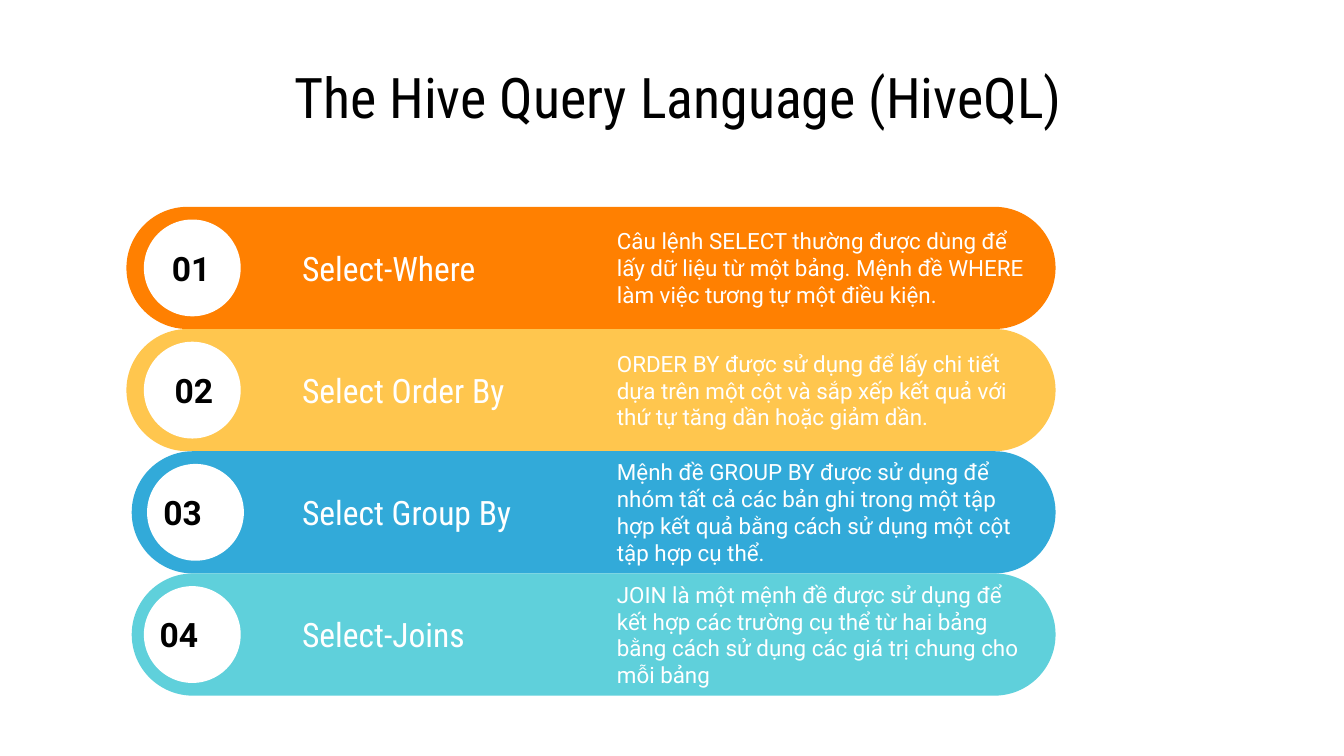
from dataclasses import dataclass

from pptx import Presentation
from pptx.dml.color import RGBColor
from pptx.enum.shapes import MSO_SHAPE
from pptx.enum.text import MSO_ANCHOR, PP_ALIGN
from pptx.util import Cm, Pt

PILL, CIRCLE = MSO_SHAPE.ROUNDED_RECTANGLE, MSO_SHAPE.OVAL
MIDDLE = MSO_ANCHOR.MIDDLE
LEFT, CENTER = PP_ALIGN.LEFT, PP_ALIGN.CENTER


@dataclass(frozen=True)
class Theme:
    black: str = "000000"
    white: str = "FFFFFF"
    heading_font: str = "Roboto Condensed"
    body_font: str = "Roboto"
    title_size: int = 30
    label_size: int = 18
    body_size: int = 12


class SlideBuilder:
    def __init__(self, slide, theme):
        self.slide = slide
        self.theme = theme

    def _filled(self, kind, left, top, width, height, color):
        shape = self.slide.shapes.add_shape(
            kind, Cm(left), Cm(top), Cm(width), Cm(height))
        shape.shadow.inherit = False
        shape.fill.solid()
        shape.fill.fore_color.rgb = RGBColor.from_string(color)
        shape.line.fill.background()
        return shape

    def pill(self, left, top, width, height, color):
        self._filled(PILL, left, top, width, height, color).adjustments[0] = 0.5

    def circle(self, left, middle, diameter):
        self._filled(CIRCLE, left, middle - diameter / 2,
                     diameter, diameter, self.theme.white)

    def text(self, words, left, middle, width, height, font, size, color,
             bold=False, align=LEFT, side_inset=0.25):
        """Place a text box centred vertically on the given middle line."""
        box = self.slide.shapes.add_textbox(
            Cm(left), Cm(middle - height / 2), Cm(width), Cm(height))
        frame = box.text_frame
        frame.word_wrap = True
        frame.vertical_anchor = MIDDLE
        frame.margin_left = frame.margin_right = Cm(side_inset)
        frame.margin_top = frame.margin_bottom = Cm(0.25)
        paragraph = frame.paragraphs[0]
        paragraph.alignment = align
        run = paragraph.add_run()
        run.text = words
        run.font.name = font
        run.font.size = Pt(size)
        run.font.bold = bold
        run.font.color.rgb = RGBColor.from_string(color)


# Bar colour, bar left, circle left, number left, label, description
CLAUSES = [
    ("FF8001", 2.39, 2.72, 3.0, "Select-Where",
     "Câu lệnh SELECT thường được dùng để lấy dữ liệu từ một bảng. "
     "Mệnh đề WHERE làm việc tương tự một điều kiện."),
    ("FFC64E", 2.39, 2.72, 3.05, "Select Order By",
     "ORDER BY được sử dụng để lấy chi tiết dựa trên một cột và sắp xếp "
     "kết quả với thứ tự tăng dần hoặc giảm dần."),
    ("32AAD9", 2.49, 2.78, 2.84, "Select Group By",
     "Mệnh đề GROUP BY được sử dụng để nhóm tất cả các bản ghi trong một "
     "tập hợp kết quả bằng cách sử dụng một cột tập hợp cụ thể."),
    ("5FD0DB", 2.49, 2.72, 2.77, "Select-Joins",
     "JOIN là một mệnh đề được sử dụng để kết hợp các trường cụ thể từ hai "
     "bảng bằng cách sử dụng các giá trị chung cho mỗi bảng"),
]
FIRST_TOP, BAR_HEIGHT, BAR_PITCH, BAR_RIGHT = 3.91, 2.31, 2.31, 19.95


def main():
    prs = Presentation()
    prs.slide_width, prs.slide_height = Cm(25.4), Cm(14.29)
    theme = Theme()
    builder = SlideBuilder(prs.slides.add_slide(prs.slide_layouts[6]), theme)

    # Title
    builder.text("The Hive Query Language (HiveQL)", 1.39, 1.82, 22.86, 1.35,
                 theme.heading_font, theme.title_size, theme.black, align=CENTER)

    # One bar per clause, with its number, label and description
    for index, clause in enumerate(CLAUSES):
        color, bar_left, circle_left, number_left, label, description = clause
        top = FIRST_TOP + index * BAR_PITCH
        middle = top + BAR_HEIGHT / 2
        builder.pill(bar_left, top, BAR_RIGHT - bar_left, BAR_HEIGHT, color)
        builder.circle(circle_left, middle, 1.83)
        builder.text(f"{index + 1:02}", number_left, middle, 1.7, 0.8,
                     theme.body_font, theme.label_size, theme.black, bold=True)
        builder.text(label, 5.46, middle, 5.36, 1.7,
                     theme.heading_font, theme.label_size, theme.white)
        builder.text(description, 11.66, middle, 7.8, 1.73,
                     theme.body_font, theme.body_size, theme.white, side_inset=0)

    prs.save("out.pptx")


if __name__ == "__main__":
    main()
